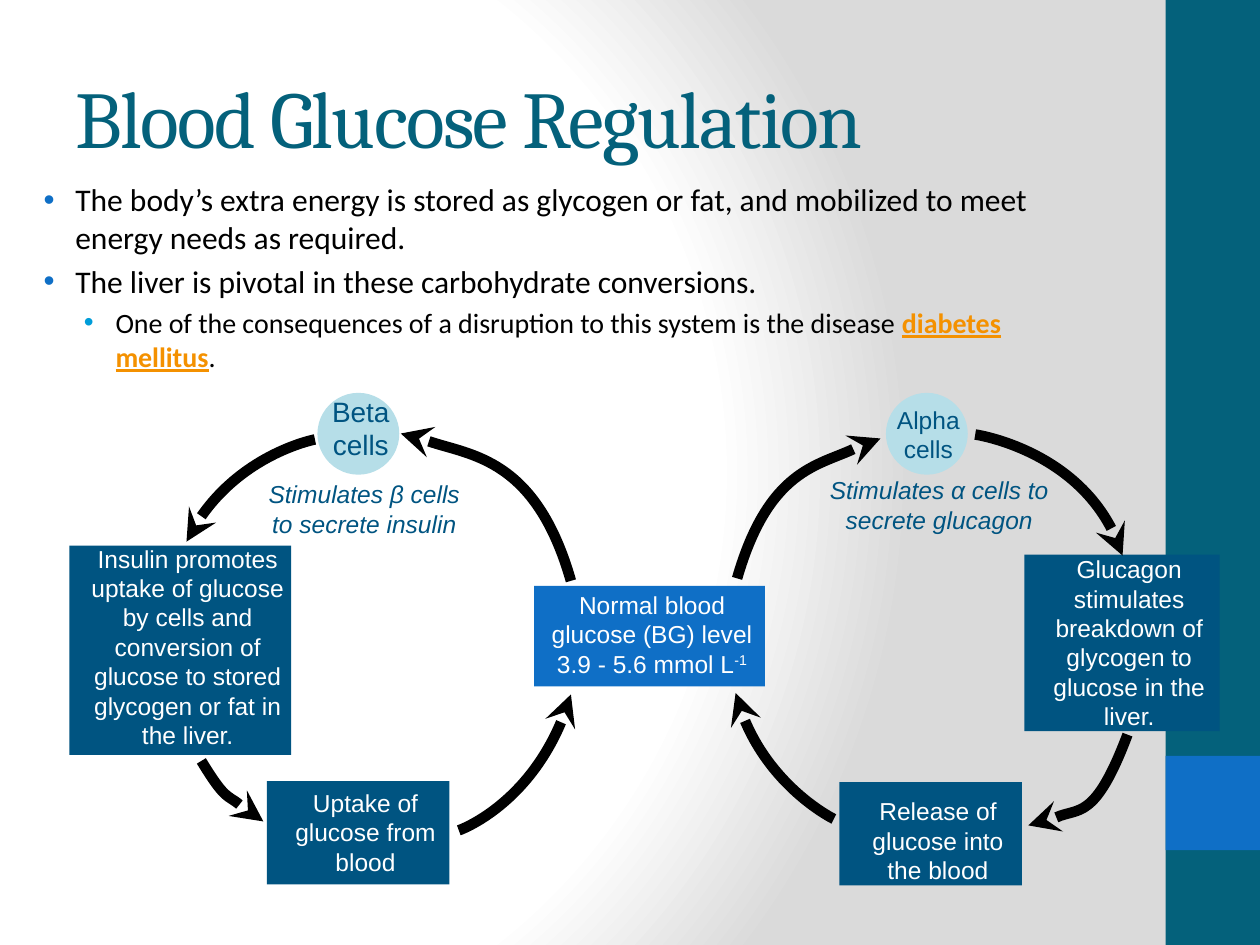
from lxml import etree
from pptx import Presentation
from pptx.dml.color import RGBColor
from pptx.enum import shapes, text
from pptx.oxml import parse_xml
from pptx.oxml.ns import nsdecls, qn
from pptx.util import Cm, Pt

THEME = dict(
    teal="04617B", blue="0F6FC6", navy="005481", sky="009DD9", pale="B6DEE8",
    orange="F49100", black="000000", white="FFFFFF", grey="DADADA",
    heading="Cambria", body="Calibri", label="Arial",
    title_size=46, point_size=18, subpoint_size=16, label_size=14, beta_size=16,
)
RECT, OVAL = shapes.MSO_SHAPE.RECTANGLE, shapes.MSO_SHAPE.OVAL

TITLE = "Blood Glucose Regulation"
# level, list of (text, is key term)
POINTS = [
    (0, [("The body’s extra energy is stored as glycogen or fat, and mobilized "
          "to meet energy needs as required.", False)]),
    (0, [("The liver is pivotal in these carbohydrate conversions.", False)]),
    (1, [("One of the consequences of a disruption to this system is the disease ", False),
         ("diabetes mellitus", True), (".", False)]),
]
# size, bullet colour, left margin in cm for each level
LEVELS = [("point_size", "blue", 0.97), ("subpoint_size", "sky", 1.78)]

# All boxes are left, top, width, height in cm
SIDEBAR = [((23.5, 0, 1.9, 19.05), "teal"), ((23.5, 15.24, 1.9, 1.9), "blue")]

# shape, fill, shape box
NODES = [
    (RECT, "blue", (10.77, 11.81, 4.65, 2.03)),
    (RECT, "navy", (1.4, 11, 4.47, 4.22)),
    (RECT, "navy", (20.65, 11.18, 3.94, 3.56)),
    (OVAL, "pale", (6.4, 7.92, 1.65, 1.65)),
    (OVAL, "pale", (17.86, 7.92, 1.65, 1.65)),
    (RECT, "navy", (5.38, 15.75, 3.68, 2.08)),
    (RECT, "navy", (16.92, 15.77, 3.68, 2.08)),
]
# box, paragraphs, colour, size, italic
LABELS = [
    ((10.77, 11.66, 4.45, 2.01), ["Normal blood glucose (BG) level", "3.9 - 5.6 mmol L"],
     "white", "label_size", False),
    ((1.4, 10.92, 4.47, 4.19),
     ["Insulin promotes uptake of glucose by cells and conversion of glucose "
      "to stored glycogen or fat in the liver."], "white", "label_size", False),
    ((20.9, 11.33, 3.43, 3.4),
     ["Glucagon stimulates breakdown of glycogen to glucose in the liver."],
     "white", "label_size", False),
    ((6.35, 8.18, 1.55, 1.12), ["Beta cells"], "navy", "beta_size", False),
    ((17.75, 8.18, 1.63, 1.17), ["Alpha cells"], "navy", "label_size", False),
    ((5.05, 9.73, 4.29, 1.12), ["Stimulates β cells to secrete insulin"],
     "navy", "label_size", True),
    ((16.41, 9.65, 4.75, 1.12), ["Stimulates α cells to secrete glucagon"],
     "navy", "label_size", True),
    ((5.38, 15.75, 3.68, 1.91), ["Uptake of glucose from blood"],
     "white", "label_size", False),
    ((16.92, 15.77, 3.68, 2.06), ["Release of glucose into the blood"],
     "white", "label_size", False),
]
EXPONENT = "-1"

# start, bend, end in cm, and which end carries the arrowhead
ARROWS = [
    ((6.35, 8.86), (4.6, 9.19), (3.76, 10.92), "tailEnd"),
    ((19.66, 8.76), (21.97, 9.09), (22.63, 11.2), "tailEnd"),
    ((8.08, 8.74), (10.8, 9.22), (11.51, 11.71), "headEnd"),
    ((17.75, 8.84), (15.49, 9.47), (14.86, 11.66), "headEnd"),
    ((9.25, 16.74), (10.87, 16.18), (11.51, 14), "tailEnd"),
    ((16.81, 16.51), (15.29, 15.77), (14.83, 13.97), "tailEnd"),
    ((5.31, 16.56), (4.55, 16.15), (4.06, 15.34), "headEnd"),
    ((20.73, 16.64), (22.07, 16.56), (22.73, 14.81), "headEnd"),
]


def cm(values):
    return [Cm(v) for v in values]


def color(name):
    return RGBColor.from_string(THEME[name])


def style(r, font, size, colour):
    r.font.name, r.font.size = THEME[font], Pt(THEME[size])
    r.font.color.rgb = color(colour)


def set_background(s):
    s.background.fill.solid()
    solid = s._element.find(".//" + qn("p:bgPr")).find(qn("a:solidFill"))
    stops = "".join(
        f'<a:gs pos="{pos}"><a:srgbClr val="{THEME[name]}"/></a:gs>'
        for pos, name in [(0, "white"), (75000, "white"), (100000, "grey")])
    solid.getparent().replace(solid, parse_xml(
        f'<a:gradFill {nsdecls("a")} rotWithShape="1"><a:gsLst>{stops}</a:gsLst>'
        '<a:path path="circle"><a:fillToRect l="20000" t="50000" r="100000" b="50000"/>'
        '</a:path></a:gradFill>'))


def add_block(s, kind, box, fill):
    sp = s.shapes.add_shape(kind, *cm(box))
    sp.shadow.inherit = False
    sp.fill.solid()
    sp.fill.fore_color.rgb = color(fill)
    sp.line.fill.background()


def add_title(s):
    sp = s.shapes.title
    sp.left, sp.top, sp.width, sp.height = cm((1.27, 0.76, 21.16, 3.18))
    tf = sp.text_frame
    tf.text = TITLE
    tf.vertical_anchor = text.MSO_ANCHOR.MIDDLE
    p = tf.paragraphs[0]
    p.alignment = text.PP_ALIGN.LEFT
    style(p.runs[0], "heading", "title_size", "teal")
    p.runs[0].font._element.set("spc", "-100")


def add_points(s):
    tf = s.shapes.add_textbox(*cm((0.3, 3.51, 22.25, 4.78))).text_frame
    tf.word_wrap = True
    for i, (level, parts) in enumerate(POINTS):
        size, bullet, margin = LEVELS[level]
        p = tf.paragraphs[0] if i == 0 else tf.add_paragraph()
        p.level = level
        if i:
            p.space_before = Pt(THEME[size] * 0.2)
        pPr = p._p.get_or_add_pPr()
        pPr.set("marL", str(Cm(margin)))
        pPr.set("indent", str(-Cm(0.64)))
        clr = etree.SubElement(pPr, qn("a:buClr"))
        etree.SubElement(clr, qn("a:srgbClr"), val=THEME[bullet])
        etree.SubElement(pPr, qn("a:buFont"), typeface=THEME["label"])
        etree.SubElement(pPr, qn("a:buChar"), char="•")
        for words, key_term in parts:
            r = p.add_run()
            r.text = words
            style(r, "body", size, "orange" if key_term else "black")
            if key_term:
                r.font.bold = r.font.underline = True


def add_label(s, box, lines, colour, size, italic):
    tf = s.shapes.add_textbox(*cm(box)).text_frame
    tf.word_wrap = True
    tf.margin_left = tf.margin_right = tf.margin_top = tf.margin_bottom = 0
    tf.vertical_anchor = text.MSO_ANCHOR.BOTTOM
    tf.text = "\n".join(lines)
    for p in tf.paragraphs:
        p.alignment = text.PP_ALIGN.CENTER
        p._p.get_or_add_pPr().set("marL", str(Cm(0.3)))
        style(p.runs[0], "label", size, colour)
        p.runs[0].font.italic = italic
    return tf


def add_curved_arrow(s, start, bend, end, head):
    """Draw a cubic curve whose first control point is its start."""
    start, bend, end = cm(start), cm(bend), cm(end)
    builder = s.shapes.build_freeform(*start)
    builder.add_line_segments([end], close=False)
    sp = builder.convert_to_shape()
    sp.shadow.inherit = False
    sp.fill.background()
    sp.line.color.rgb = color("black")
    sp.line.width = Pt(6)
    etree.SubElement(sp.line._get_or_add_ln(), qn("a:" + head), type="stealth")
    segment = sp._element.find(".//" + qn("a:lnTo"))
    curve = etree.Element(qn("a:cubicBezTo"))
    for x, y in (start, bend, end):
        etree.SubElement(curve, qn("a:pt"), x=str(x - sp.left), y=str(y - sp.top))
    segment.getparent().replace(segment, curve)


def main():
    prs = Presentation()
    prs.slide_width, prs.slide_height = cm((25.4, 19.05))
    s = prs.slides.add_slide(prs.slide_layouts[5])
    set_background(s)
    for box, fill in SIDEBAR:
        add_block(s, RECT, box, fill)
    add_title(s)
    add_points(s)
    for kind, fill, box in NODES:
        add_block(s, kind, box, fill)
    normal_level, *_ = [add_label(s, *label) for label in LABELS]
    r = normal_level.paragraphs[-1].add_run()
    r.text = EXPONENT
    style(r, "label", "label_size", "white")
    r.font._element.set("baseline", "32000")
    for arrow in ARROWS:
        add_curved_arrow(s, *arrow)
    prs.save("out.pptx")


if __name__ == "__main__":
    main()
